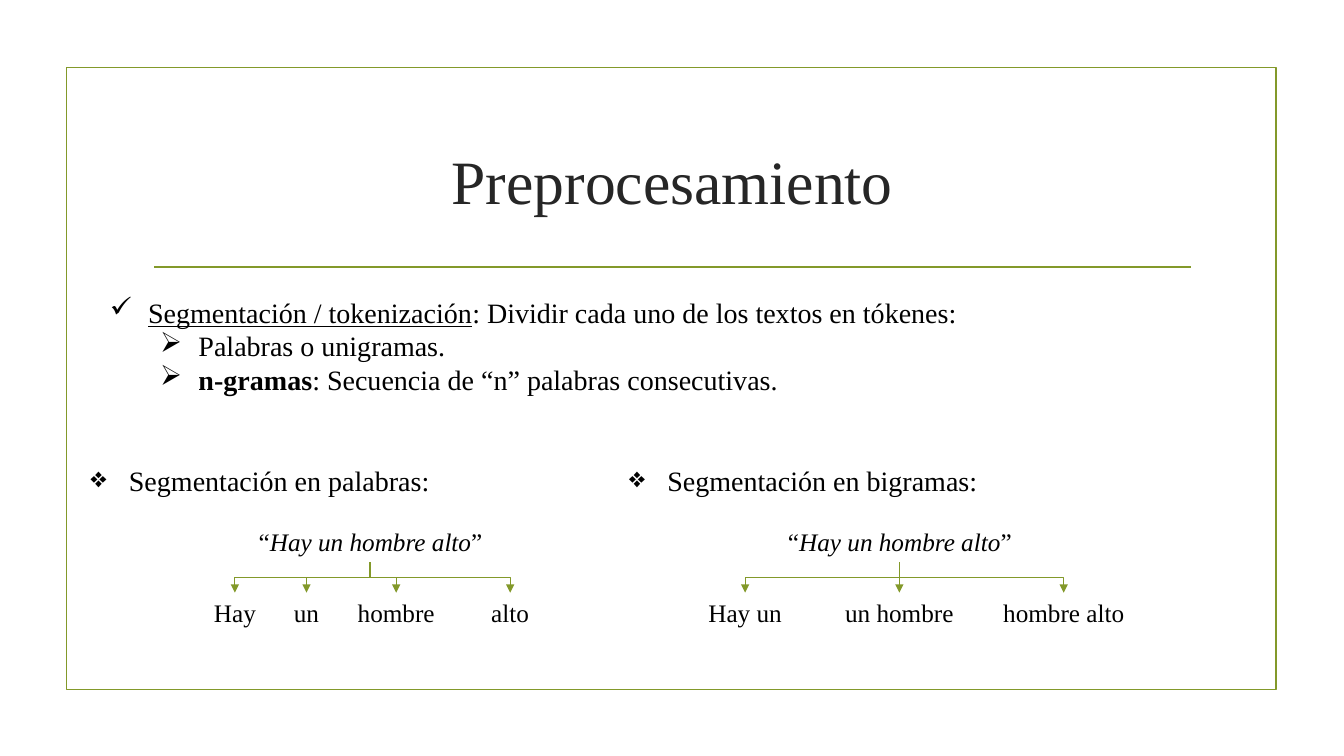
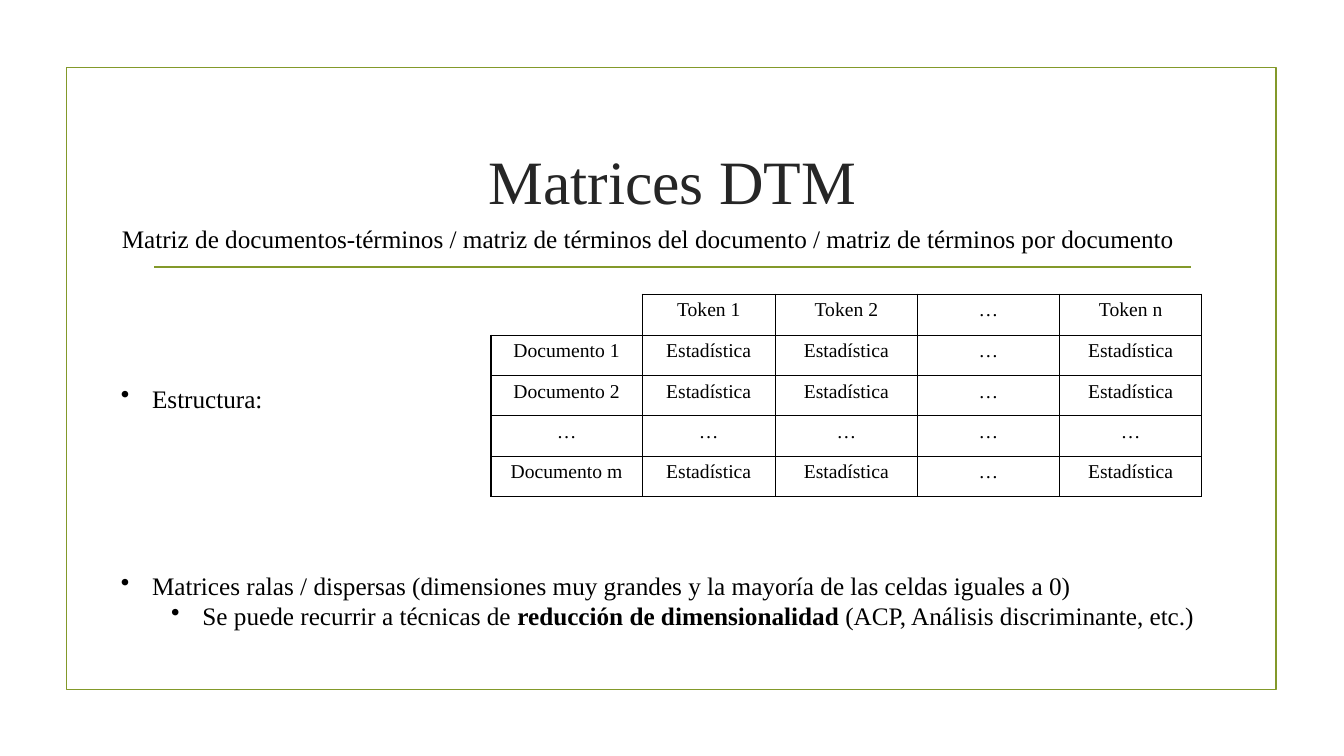
from lxml.etree import SubElement as Sub
from pptx import Presentation
from pptx.dml.color import RGBColor
from pptx.enum.shapes import MSO_CONNECTOR as Conn, MSO_SHAPE as Shape
from pptx.enum.text import MSO_ANCHOR as Anchor, MSO_AUTO_SIZE as Auto, PP_ALIGN as Align
from pptx.oxml.ns import qn
from pptx.util import Inches, Pt

GREEN = RGBColor(0x83, 0x99, 0x2A)
BLACK = RGBColor(0, 0, 0)
DARK = RGBColor(0x26, 0x26, 0x26)
FONT = "Times New Roman"
FRAME = (0.66, 0.67, 12, 6.17)
RULE = (1.53, 2.65, 11.81, 2.65)
TITLE = (1.42, 1.07, 10.5, 1.43)

BOLD, ITALIC, UNDER = {"bold": True}, {"italic": True}, {"underline": True}

TOKENS = [
    (0, "✓", [("Segmentación / tokenización", UNDER),
              (": Dividir cada uno de los textos en tókenes:", {})]),
    (1, "➢", [("Palabras o unigramas.", {})]),
    (1, "➢", [("n-gramas", BOLD), (": Secuencia de “n” palabras consecutivas.", {})]),
]
PHRASE = [("“", {}), ("Hay un hombre alto", ITALIC), ("”", {})]
TREES = [
    (0.8, "Segmentación en palabras:", 3.67,
     [("Hay", 2.33, 0.95), ("un", 3.04, 0.95), ("hombre", 3.93, 1.26), ("alto", 5.06, 1.26)]),
    (6.14, "Segmentación en bigramas:", 8.92,
     [("Hay un", 7.39, 0.95), ("un hombre", 8.92, 1.44), ("hombre alto", 10.55, 1.69)]),
]
HEAD_Y, ROOT_Y, STEM_Y, LEAF_Y = 4.55, 5.17, 5.58, 5.88

STAT = "Estadística"
HEADS = ["Token 1", "Token 2", "…", "Token n"]
STATS = [STAT, STAT, "…", STAT]
GRID = [
    ["", *HEADS],
    ["Documento 1", *STATS],
    ["Documento 2", *STATS],
    ["…"] * 5,
    ["Documento m", *STATS],
]
COLS, ROW = [1.5, 1.32, 1.41, 1.41, 1.41], 0.4
SUBHEAD = ("Matriz de documentos-términos / matriz de términos del documento"
           " / matriz de términos por documento")
SPARSE = [
    (0, "•", [("Matrices ralas / dispersas (dimensiones muy grandes y la mayoría"
               " de las celdas iguales a 0)", {})]),
    (1, "•", [("Se puede recurrir a técnicas de ", {}),
              ("reducción de dimensionalidad ", BOLD),
              ("(ACP, Análisis discriminante, etc.)", {})]),
]


def inch(vals):
    return [Inches(v) for v in vals]


def write(para, runs, size, color=BLACK, align=Align.LEFT):
    para.alignment = align
    for text, style in runs:
        run = para.add_run()
        run.text = text
        font = run.font
        for key, val in {"name": FONT, "size": Pt(size), **style}.items():
            setattr(font, key, val)
        font.color.rgb = color


def frame(slide, at):
    box = slide.shapes.add_textbox(*inch(at)).text_frame
    box.word_wrap = True
    box.auto_size = Auto.SHAPE_TO_FIT_TEXT
    return box


def label(slide, at, runs, size=18, align=Align.CENTER):
    write(frame(slide, at).paragraphs[0], runs, size, align=align)


def bullets(slide, at, items, size, hang):
    box = frame(slide, at)
    for num, (level, mark, runs) in enumerate(items):
        para = box.add_paragraph() if num else box.paragraphs[0]
        para.level = level
        write(para, runs, size)
        props = para._p.get_or_add_pPr()
        props.set("marL", str(Inches(hang + level * 0.5)))
        props.set("indent", str(-Inches(hang)))
        Sub(props, qn("a:buChar"), char=mark)


def link(slide, kind, ends, width):
    line = slide.shapes.add_connector(kind, *inch(ends))
    line.line.color.rgb = GREEN
    line.line.width = Pt(width)
    Sub(line._element.spPr, qn("a:effectLst"))
    return line


def branch(slide, top, end):
    mid, drop = (top + end) / 2, LEAF_Y - STEM_Y
    half, y = abs(end - top) / 2, (STEM_Y + LEAF_Y) / 2
    ends = (mid - drop / 2, y - half, mid + drop / 2, y + half)
    line = link(slide, Conn.ELBOW, ends, 0.75)
    turn = {"rot": "16200000", "flipH": "1"} if end > top else {"rot": "5400000"}
    form = line._element.spPr.find(qn("a:xfrm"))
    for key, val in turn.items():
        form.set(key, val)
    Sub(line.line._get_or_add_ln(), qn("a:tailEnd"), type="triangle")


def tree(slide, left, head, top, leaves):
    bullets(slide, (left, HEAD_Y, 5.35, 0.44), [(0, "❖", [(head, {})])], 20, 0.38)
    label(slide, (top - 2.57, ROOT_Y, 5.15, 0.4), PHRASE)
    for text, mid, width in leaves:
        label(slide, (mid - width / 2, LEAF_Y, width, 0.4), [(text, {})])
        branch(slide, top, mid)


def edges(cell, shown):
    props = cell._tc.get_or_add_tcPr()
    for num, side in enumerate("LRTB"):
        line = props.makeelement(qn("a:ln" + side), {"w": str(Pt(1))})
        props.insert(num, line)
        if side in shown:
            Sub(Sub(line, qn("a:solidFill")), qn("a:srgbClr"), val=str(BLACK))
        else:
            Sub(line, qn("a:noFill"))


def matrix(slide, left, top):
    size = inch((left, top, sum(COLS), ROW * len(GRID)))
    table = slide.shapes.add_table(len(GRID), len(COLS), *size).table
    table.first_row = table.horz_banding = False
    for col, width in zip(table.columns, COLS):
        col.width = Inches(width)
    for r, row in enumerate(GRID):
        table.rows[r].height = Inches(ROW)
        for c, text in enumerate(row):
            cell = table.cell(r, c)
            cell.fill.background()
            edges(cell, "LRTB" if r or c else "RB")
            if text:
                write(cell.text_frame.paragraphs[0], [(text, {})], 14, align=Align.CENTER)


def decor(slide, layout):
    rect = slide.shapes.add_shape(Shape.RECTANGLE, *inch(FRAME))
    rect.shadow.inherit = False
    rect.fill.background()
    rect.line.color.rgb = GREEN
    rect.line.width = Pt(1.25)
    rule = link(slide, Conn.STRAIGHT, RULE, 1.25)
    for part in (rect, rule):
        layout.shapes._spTree.append(part._element)


def start(deck, layout, text):
    slide = deck.slides.add_slide(layout)
    title = slide.shapes.title
    for key, val in zip(("left", "top", "width", "height"), inch(TITLE)):
        setattr(title, key, val)
    title.text_frame.vertical_anchor = Anchor.MIDDLE
    write(title.text_frame.paragraphs[0], [(text, {})], 44, DARK, Align.CENTER)
    return slide


def main():
    deck = Presentation()
    deck.slide_width, deck.slide_height = inch((13.33, 7.5))
    layout = deck.slide_layouts[5]

    prep = start(deck, layout, "Preprocesamiento")
    decor(prep, layout)
    bullets(prep, (0.99, 2.88, 11.11, 1.45), TOKENS, 20, 0.38)
    for item in TREES:
        tree(prep, *item)

    dtm = start(deck, layout, "Matrices DTM")
    matrix(dtm, 4.87, 2.92)
    label(dtm, (1.11, 2.17, 10.69, 0.4), [(SUBHEAD, {})], align=Align.LEFT)
    bullets(dtm, (1.1, 3.75, 6.69, 0.4), [(0, "•", [("Estructura:", {})])], 18, 0.31)
    bullets(dtm, (1.1, 5.61, 10.89, 0.71), SPARSE, 18, 0.31)
    deck.save("out.pptx")


if __name__ == "__main__":
    main()
